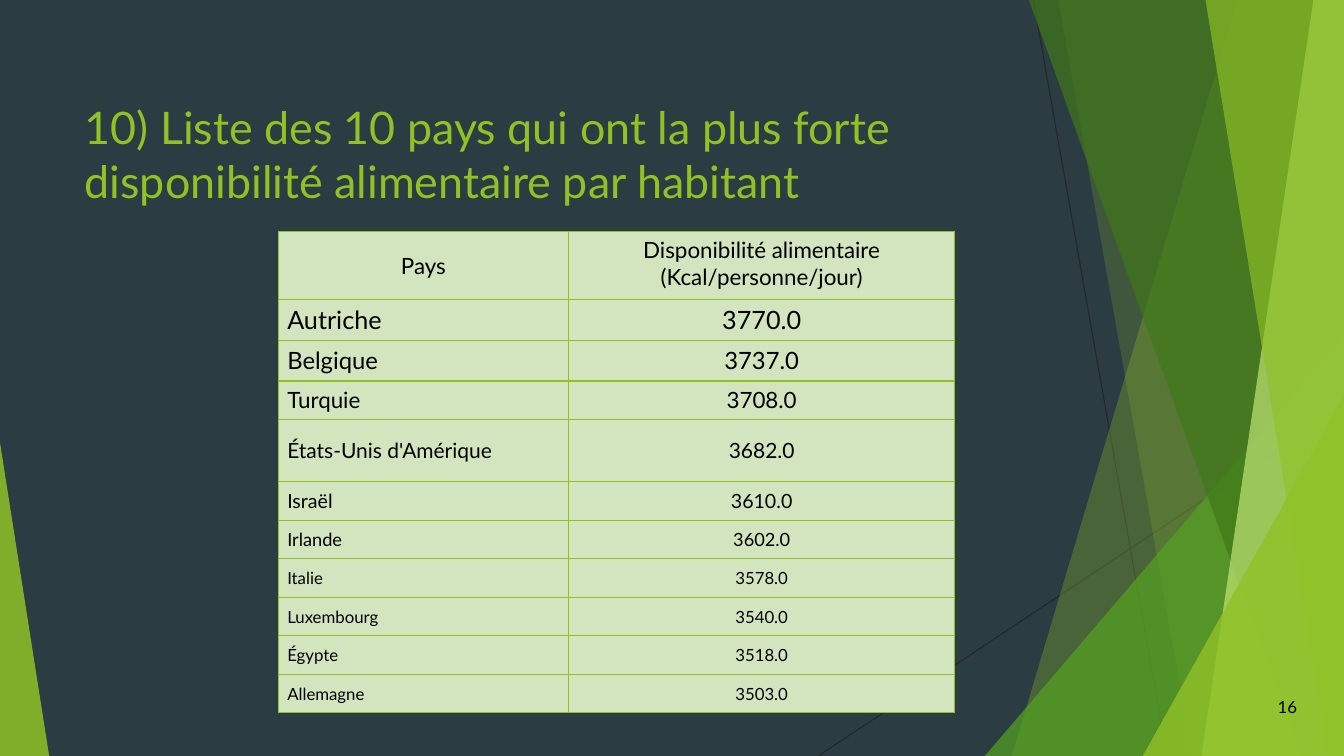
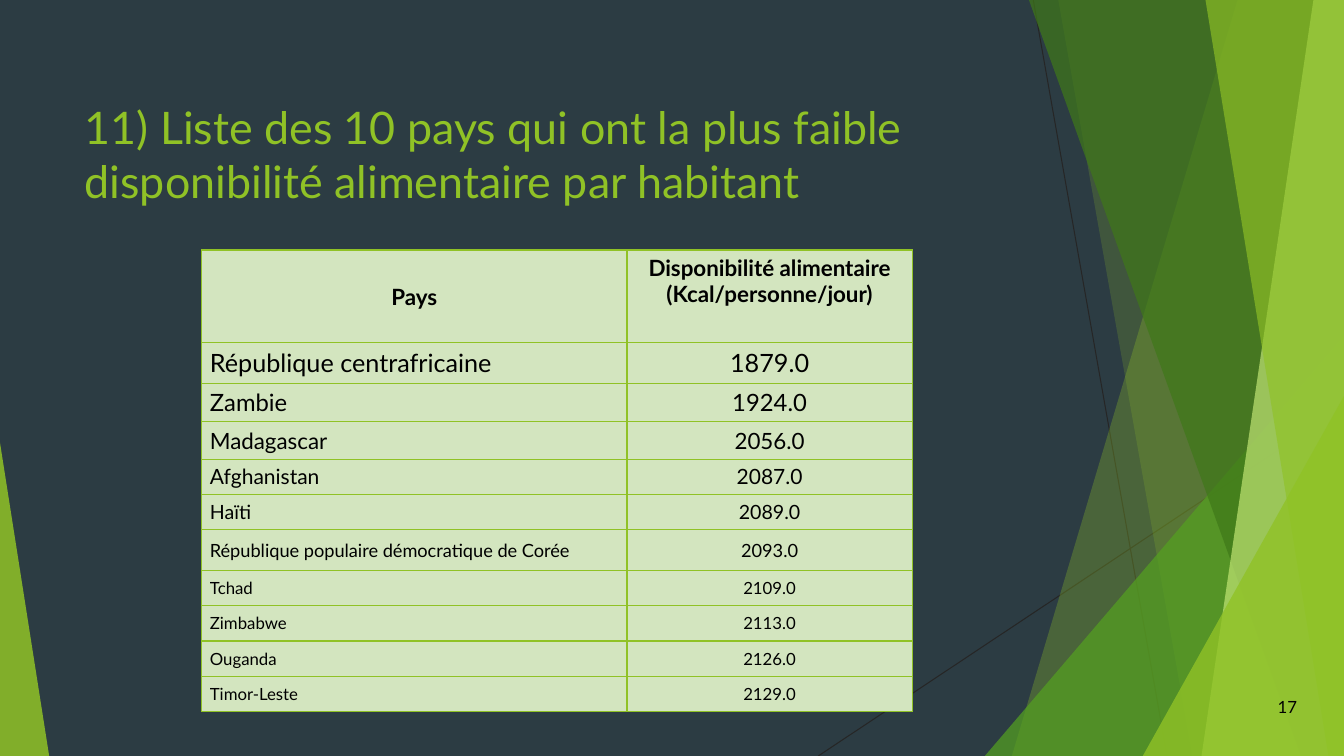
from dataclasses import dataclass

from lxml import etree
from pptx import Presentation
from pptx.dml.color import RGBColor
from pptx.enum.shapes import MSO_CONNECTOR, MSO_SHAPE
from pptx.enum.text import MSO_ANCHOR, MSO_AUTO_SIZE, PP_ALIGN
from pptx.oxml.ns import qn
from pptx.util import Cm, Pt

LEFT, CENTER, RIGHT = PP_ALIGN.LEFT, PP_ALIGN.CENTER, PP_ALIGN.RIGHT
TOP, MIDDLE, BOTTOM = MSO_ANCHOR.TOP, MSO_ANCHOR.MIDDLE, MSO_ANCHOR.BOTTOM
TRIANGLE = MSO_SHAPE.ISOSCELES_TRIANGLE
STRAIGHT = MSO_CONNECTOR.STRAIGHT
NO_FIT = MSO_AUTO_SIZE.NONE
WIDE, HIGH = 33.87, 19.05


@dataclass(frozen=True)
class Theme:
    back: str = "2C3C43"
    lime: str = "90C226"
    leaf: str = "54A021"
    moss: str = "3F7819"
    pale: str = "C0E474"
    cell: str = "D3E5BF"
    ray: str = "262626"
    ink: str = "000000"
    font: str = "Lato"
    title: int = 32
    head: int = 16
    first: int = 18
    small: int = 12


def rgb(code):
    return RGBColor.from_string(code)


def add_node(parent, tag, **attrs):
    return etree.SubElement(parent, qn(tag), attrs)


class Deck:
    def __init__(self, theme):
        self.theme = theme
        self.prs = Presentation()
        self.prs.slide_width, self.prs.slide_height = Cm(WIDE), Cm(HIGH)
        fill = self.prs.slide_master.background.fill
        fill.solid()
        fill.fore_color.rgb = rgb(theme.back)

    def start(self):
        self.slide = self.prs.slides.add_slide(self.prs.slide_layouts[5])
        self.facets()

    def add_text(self, frame, text, size, color, align=LEFT, bold=False):
        para = frame.paragraphs[0]
        para.alignment = align
        run = para.add_run()
        run.text = text
        font = run.font
        font.name, font.size, font.bold = self.theme.font, Pt(size), bold
        font.color.rgb = rgb(color)
        return run

    def paint(self, shape, color, alpha):
        """Fill a shape with a see-through colour; alpha is in percent."""
        shape.shadow.inherit = False
        shape.line.fill.background()
        shape.fill.solid()
        shape.fill.fore_color.rgb = rgb(color)
        tint = shape._element.spPr.find(qn("a:solidFill"))[0]
        add_node(tint, "a:alpha", val=str(alpha * 1000))

    def ray(self, *ends):
        line = self.slide.shapes.add_connector(STRAIGHT, *map(Cm, ends))
        line.line.color.rgb = rgb(self.theme.ray)
        line.line.width = Pt(0.75)
        add_node(line._element.spPr, "a:effectLst")

    def band(self, top, foot, color, alpha):
        """Fill from a slanted left edge to the right side of the slide."""
        pen = self.slide.shapes.build_freeform(Cm(top), 0, scale=1.0)
        pen.add_line_segments([(Cm(WIDE), 0), (Cm(WIDE), Cm(HIGH)),
                               (Cm(foot), Cm(HIGH))])
        self.paint(pen.convert_to_shape(), color, alpha)

    def wedge(self, left, right, top, peak, color, alpha):
        """Triangle standing on the foot of the slide."""
        shape = self.slide.shapes.add_shape(
            TRIANGLE, Cm(left), Cm(top), Cm(right - left), Cm(HIGH - top))
        shape.adjustments[0] = peak
        self.paint(shape, color, alpha)

    def facets(self):
        t = self.theme
        self.ray(26.04, 0, 29.41, HIGH)
        self.ray(WIDE, 10.24, 20.62, HIGH)
        self.band(31.19, 25.5, t.lime, 30)
        self.band(26.67, 30.05, t.lime, 20)
        self.wedge(24.82, WIDE, 8.46, 1, t.leaf, 72)
        self.band(25.93, 32.79, t.moss, 70)
        self.band(33.1, 30.28, t.pale, 70)
        self.band(30.38, 33.48, t.lime, 65)
        self.wedge(28.8, WIDE, 9.98, 1, t.lime, 80)
        self.wedge(0, 1.24, 11.15, 0, t.lime, 85)

    def title(self, text):
        shape = self.slide.shapes.title
        shape.left, shape.top = Cm(1.88), Cm(1.7)
        shape.width, shape.height = Cm(23.88), Cm(3.66)
        frame = shape.text_frame
        frame.word_wrap, frame.auto_size = True, NO_FIT
        frame.vertical_anchor = BOTTOM
        run = self.add_text(frame, text, self.theme.title, self.theme.lime)
        glow = etree.Element(qn("a:effectLst"))
        shade = add_node(glow, "a:outerShdw", blurRad="38100", dist="38100",
                         dir="2700000", algn="tl")
        tint = add_node(shade, "a:srgbClr", val=self.theme.ink)
        add_node(tint, "a:alpha", val="43000")
        run._r.rPr.find(qn("a:solidFill")).addnext(glow)

    def number(self, value):
        box = self.slide.shapes.add_textbox(
            Cm(31.04), Cm(17.3), Cm(1.9), Cm(1.02))
        frame = box.text_frame
        frame.word_wrap, frame.vertical_anchor = True, MIDDLE
        self.add_text(frame, str(value), self.theme.small, self.theme.ink, RIGHT)

    def edge(self, cell):
        props = cell._tc.get_or_add_tcPr()
        for side in ("a:lnL", "a:lnR", "a:lnT", "a:lnB"):
            line = add_node(props, side, w=str(Pt(1)))
            fill = add_node(line, "a:solidFill")
            add_node(fill, "a:srgbClr", val=self.theme.lime)

    def fill_cell(self, cell, text, size, align, anchor, pad, bold):
        self.edge(cell)
        cell.fill.solid()
        cell.fill.fore_color.rgb = rgb(self.theme.cell)
        cell.margin_left = cell.margin_right = Cm(pad[0])
        cell.margin_top = cell.margin_bottom = Cm(pad[1])
        cell.vertical_anchor = anchor
        self.add_text(cell.text_frame, text, size, self.theme.ink, align, bold)

    def table(self, left, top, cols, rows, data, pad, bold):
        """Ranking whose type shrinks by a point per row, down to the small size."""
        t = self.theme
        grid = self.slide.shapes.add_table(
            len(rows), len(cols), Cm(left), Cm(top),
            Cm(sum(cols)), Cm(sum(rows))).table
        grid.first_row = grid.horz_banding = False
        for col, width in zip(grid.columns, cols):
            col.width = Cm(width)
        for row, height in zip(grid.rows, rows):
            row.height = Cm(height)
        heads = ("Pays", MIDDLE), ("Disponibilité alimentaire (Kcal/personne/jour)", TOP)
        for c, (text, anchor) in enumerate(heads):
            self.fill_cell(grid.cell(0, c), text, t.head, CENTER, anchor, pad, bold)
        for r, (land, kcal) in enumerate(data):
            size = max(t.small, t.first - r)
            for c, (text, align) in enumerate(((land, LEFT), (f"{kcal:.1f}", CENTER))):
                self.fill_cell(grid.cell(r + 1, c), text, size, align, MIDDLE, pad, False)


MOST = [
    ("Autriche", 3770), ("Belgique", 3737), ("Turquie", 3708),
    ("États-Unis d'Amérique", 3682), ("Israël", 3610), ("Irlande", 3602),
    ("Italie", 3578), ("Luxembourg", 3540), ("Égypte", 3518),
    ("Allemagne", 3503),
]
LEAST = [
    ("République centrafricaine", 1879), ("Zambie", 1924),
    ("Madagascar", 2056), ("Afghanistan", 2087), ("Haïti", 2089),
    ("République populaire démocratique de Corée", 2093), ("Tchad", 2109),
    ("Zimbabwe", 2113), ("Ouganda", 2126), ("Timor-Leste", 2129),
]


def main():
    deck = Deck(Theme())

    deck.start()
    deck.title("10) Liste des 10 pays qui ont la plus forte "
               "disponibilité alimentaire par habitant")
    deck.table(7.01, 5.84, (7.32, 9.73),
               [1.7, 1.04, 1.02, 0.97, 1.57] + [0.97] * 6,
               MOST, pad=(0.23, 0.12), bold=False)
    deck.number(16)

    deck.start()
    deck.title("11) Liste des 10 pays qui ont la plus faible "
               "disponibilité alimentaire par habitant")
    deck.table(5.08, 6.3, (10.72, 7.19),
               [2.34, 1.02, 0.97, 0.94, 0.89, 0.89, 1.02] + [0.89] * 4,
               LEAST, pad=(0.21, 0.1), bold=True)
    deck.number(17)

    deck.prs.save("out.pptx")


if __name__ == "__main__":
    main()
